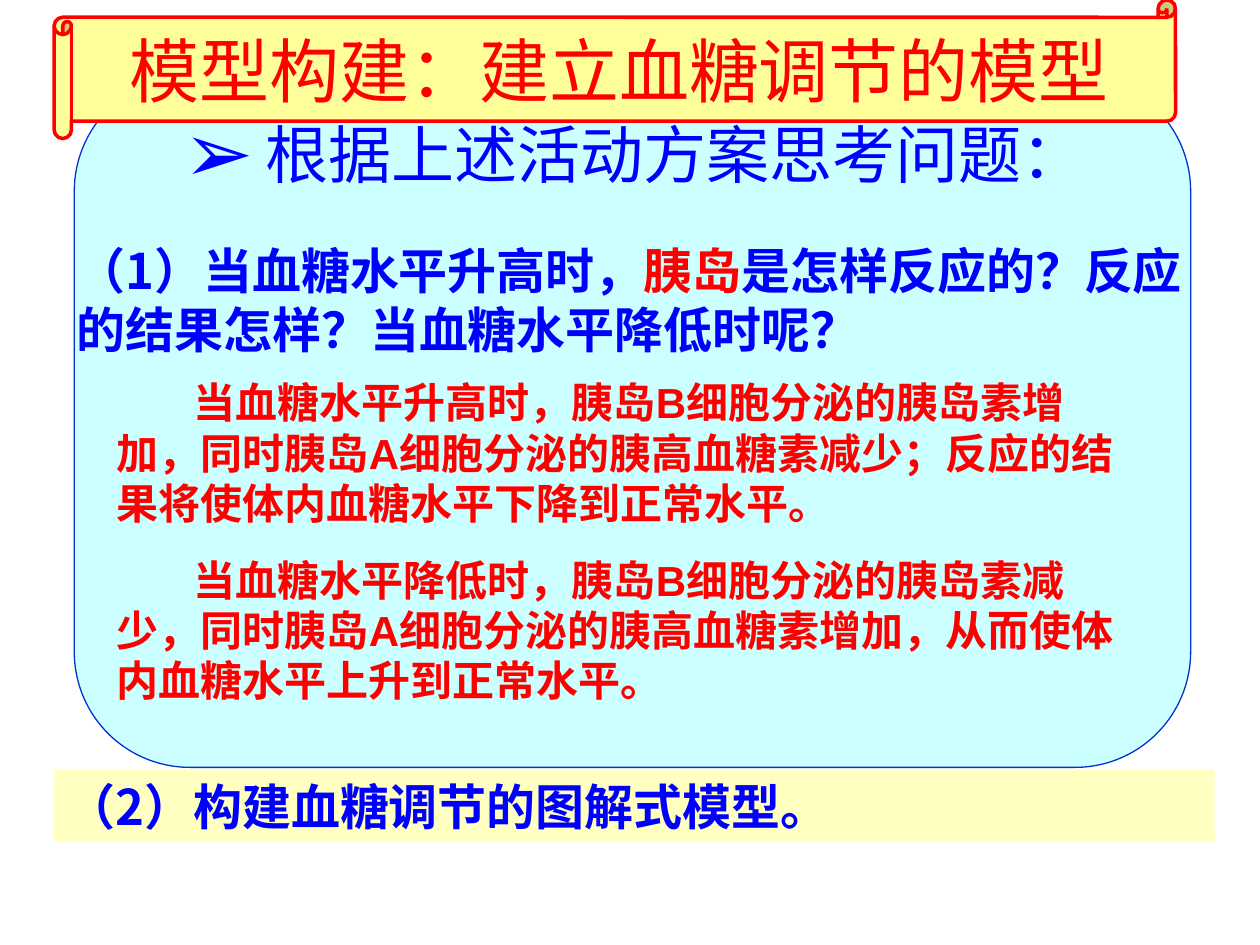
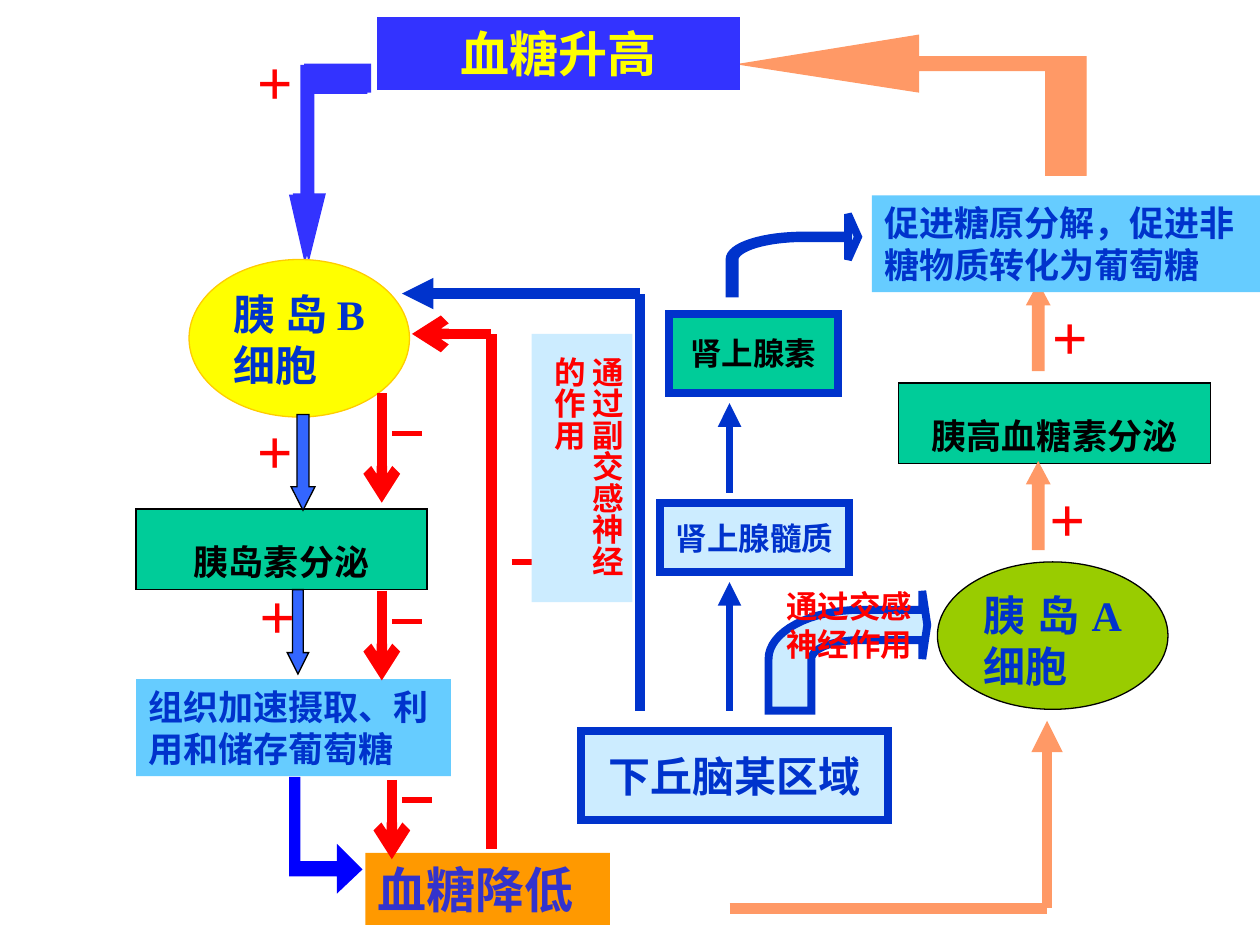
"""Build two slides on modelling the regulation of blood sugar."""
from dataclasses import dataclass
from math import cos, pi, sin
from typing import Optional

from lxml import etree
from pptx import Presentation
from pptx.dml.color import RGBColor
from pptx.enum.shapes import MSO_CONNECTOR, MSO_SHAPE
from pptx.enum.text import MSO_ANCHOR, PP_ALIGN
from pptx.oxml.ns import qn
from pptx.util import Inches, Pt

RECT, ELLIPSE = MSO_SHAPE.RECTANGLE, MSO_SHAPE.OVAL
ROUNDED, SCROLL = MSO_SHAPE.ROUNDED_RECTANGLE, MSO_SHAPE.HORIZONTAL_SCROLL
UP, DOWN = MSO_SHAPE.UP_ARROW, MSO_SHAPE.DOWN_ARROW
STRAIGHT = MSO_CONNECTOR.STRAIGHT
LEFT, CENTER, RIGHT, JUSTIFY = PP_ALIGN.LEFT, PP_ALIGN.CENTER, PP_ALIGN.RIGHT, PP_ALIGN.JUSTIFY
TOP, MIDDLE = MSO_ANCHOR.TOP, MSO_ANCHOR.MIDDLE

CJK, SERIF, SANS = "Noto Sans CJK SC", "Times New Roman", "Arial"
RED, BLUE, NAVY, BLACK = "FF0000", "0000FF", "0033CC", "000000"
INDIGO, YELLOW, ORANGE, PEACH = "3333FF", "FFFF00", "FF9900", "FF9966"
TEAL, SKY, PALE = "00CC99", "66CCFF", "CCECFF"

Point = tuple[float, float]
Span = tuple[str, str]


@dataclass(frozen=True)
class Style:
    """Look of a text."""
    size: float = 20
    color: str = NAVY
    font: str = SERIF
    bold: bool = True
    align: PP_ALIGN = LEFT
    anchor: MSO_ANCHOR = TOP
    wrap: bool = True
    spacing: float = 1.0
    before: float = 0
    indent: float = 0
    margin: float = 0
    bullet: str = ""
    vertical: bool = False


@dataclass(frozen=True)
class Box:
    """Preset shape, or a text box when it has no kind."""
    at: tuple[float, float, float, float]
    kind: Optional[MSO_SHAPE] = RECT
    text: tuple[tuple[Span, ...] | str, ...] = ()
    style: Style = Style()
    fill: str = ""
    line: str = ""
    weight: float = 0.75
    adjust: tuple[float, ...] = ()


@dataclass(frozen=True)
class Link:
    """Chain of straight lines, the last one with an arrowhead if named."""
    points: tuple[Point, ...]
    color: str = RED
    weight: float = 6
    head: str = ""


@dataclass(frozen=True)
class CurvedArrow:
    """Arrow that rises from a base and bends to the right."""
    bend: Point
    outer: Point
    inner: Point
    base: float
    neck: float
    tip: Point
    half_head: float

    def outline(self) -> list[Point]:
        """Return the corners of the arrow, the bends taken in small steps."""
        (x, y), (_, tip_y) = self.bend, self.tip
        return [
            self.tip, (self.neck, tip_y - self.half_head),
            (self.neck, y - self.outer[1]), *quarter(self.bend, self.outer),
            (x - self.outer[0], self.base), (x - self.inner[0], self.base),
            *reversed(quarter(self.bend, self.inner)),
            (self.neck, y - self.inner[1]), (self.neck, tip_y + self.half_head),
        ]


def quarter(center: Point, radius: Point, steps: int = 16) -> list[Point]:
    """Return points from the top of an ellipse to its left side."""
    angles = [pi / 2 * step / steps for step in range(steps + 1)]
    return [(center[0] - radius[0] * sin(a), center[1] - radius[1] * cos(a)) for a in angles]


def rgb(value: str) -> RGBColor:
    """Turn a hex string into a colour."""
    return RGBColor.from_string(value)


def paint(shape, fill: str, line: str, weight: float) -> None:
    """Set fill and sharp-cornered outline; an empty colour means none."""
    shape.shadow.inherit = False
    if fill:
        shape.fill.solid()
        shape.fill.fore_color.rgb = rgb(fill)
    else:
        shape.fill.background()
    if line:
        shape.line.color.rgb = rgb(line)
        shape.line.width = Pt(weight)
        etree.SubElement(shape.line._get_or_add_ln(), qn("a:miter")).set("lim", "800000")
    else:
        shape.line.fill.background()


def set_layout(paragraph, style: Style) -> None:
    """Give a paragraph its indents and, if any, its bullet."""
    props = paragraph._p.get_or_add_pPr()
    props.set("marL", str(Inches(style.margin)))
    props.set("indent", str(Inches(style.indent)))
    props.set("hangingPunct", "0")
    if style.bullet:
        color = etree.SubElement(props, qn("a:buClr"))
        etree.SubElement(color, qn("a:srgbClr")).set("val", style.color)
        etree.SubElement(props, qn("a:buSzPct")).set("val", "133000")
        etree.SubElement(props, qn("a:buFont")).set("typeface", SANS)
        etree.SubElement(props, qn("a:buChar")).set("char", style.bullet)


def write(shape, paragraphs: tuple, style: Style) -> None:
    """Write paragraphs, each a string or a row of coloured spans."""
    frame = shape.text_frame
    frame.word_wrap = style.wrap
    frame.vertical_anchor = style.anchor
    if style.vertical:
        shape.element.txBody.bodyPr.set("vert", "eaVert")
        frame.margin_left = frame.margin_right = Inches(0.05)
        frame.margin_top, frame.margin_bottom = Inches(0.18), Inches(0.1)
    for index, content in enumerate(paragraphs):
        paragraph = frame.add_paragraph() if index else frame.paragraphs[0]
        paragraph.alignment = style.align
        paragraph.line_spacing = style.spacing
        paragraph.space_before = Pt(style.before if index else 0)
        set_layout(paragraph, style)
        spans = ((content, style.color),) if isinstance(content, str) else content
        for words, color in spans:
            run = paragraph.add_run()
            run.text = words
            run.font.size = Pt(style.size)
            run.font.bold = style.bold
            run.font.color.rgb = rgb(color)
            run.font.name = style.font
            etree.SubElement(run.font._element, qn("a:ea")).set("typeface", CJK)


def draw_box(slide, box: Box) -> None:
    """Draw a shape or text box with its text."""
    place = [Inches(value) for value in box.at]
    if box.kind is None:
        shape = slide.shapes.add_textbox(*place)
    else:
        shape = slide.shapes.add_shape(box.kind, *place)
        paint(shape, box.fill, box.line, box.weight)
    for index, value in enumerate(box.adjust):
        shape.adjustments[index] = value
    if box.text:
        write(shape, box.text, box.style)


def draw_outline(slide, points: list[Point], fill: str, line: str, weight: float = 0.75):
    """Draw a closed outline through the points."""
    corners = [(Inches(x), Inches(y)) for x, y in points]
    builder = slide.shapes.build_freeform(*corners[0])
    builder.add_line_segments(corners[1:], close=True)
    shape = builder.convert_to_shape()
    paint(shape, fill, line, weight)
    return shape


def draw_link(slide, link: Link) -> None:
    """Draw the lines of a link."""
    for start, end in zip(link.points, link.points[1:]):
        ends = [Inches(value) for value in (*start, *end)]
        connector = slide.shapes.add_connector(STRAIGHT, *ends)
        connector.line.color.rgb = rgb(link.color)
        connector.line.width = Pt(link.weight)
        if link.head and end == link.points[-1]:
            outline = connector.line._get_or_add_ln()
            etree.SubElement(outline, qn("a:tailEnd")).set("type", link.head)
        etree.SubElement(connector.element.spPr, qn("a:effectLst"))


QUESTION = Style(28, BLUE, CJK)
QUESTION_BOXES = (
    Box((0.59, 0.6, 8.86, 5.49), ROUNDED, ("根据上述活动方案思考问题：",),
        Style(36, BLUE, CJK, False, margin=1.15, indent=-0.65, bullet="➢"),
        "CCFFFF", NAVY, adjust=(0.167,)),
    Box((0.43, 0, 8.9, 1.1), SCROLL, ("模型构建：建立血糖调节的模型",),
        Style(40, RED, bold=False, align=CENTER, anchor=MIDDLE, wrap=False),
        "FFFF99", RED, 2, (0.125,)),
    Box((0.43, 6.11, 9.21, 0.57), RECT, ("（2）构建血糖调节的图解式模型。",), QUESTION, "FFFFC1"),
    Box((0.51, 1.86, 9.14, 1.04), None, ((
        ("（1）当血糖水平升高时，", BLUE), ("胰岛", RED),
        ("是怎样反应的？反应的结果怎样？当血糖水平降低时呢？", BLUE)),), QUESTION),
    Box((0.83, 2.94, 8.35, 2.72), None, (
        "当血糖水平升高时，胰岛B细胞分泌的胰岛素增加，同时胰岛A细胞分泌的胰高血糖素减少；"
        "反应的结果将使体内血糖水平下降到正常水平。",
        "当血糖水平降低时，胰岛B细胞分泌的胰岛素减少，同时胰岛A细胞分泌的胰高血糖素增加，"
        "从而使体内血糖水平上升到正常水平。"), Style(24, RED, SANS, before=15, indent=0.61)),
)

SECRETION = Style(20, BLACK, align=CENTER, spacing=1.6)
CELL = Style(24, align=JUSTIFY)
REGION = Style(24, NAVY, SANS, align=CENTER, anchor=MIDDLE, wrap=False)
GLAND = Style(18, NAVY, SANS, align=CENTER, anchor=MIDDLE, wrap=False)
HORMONE = Style(18, BLACK, SANS, align=CENTER, anchor=MIDDLE, wrap=False)
NERVE = Style(18, RED, SANS, align=RIGHT, anchor=MIDDLE)
VERTICAL_NERVE = Style(18, RED, SANS, vertical=True)

MODEL_NODES = (
    Box((2.9, 6.77, 1.94, 0.57), RECT, ("血糖降低",), Style(28, "3333CC"), ORANGE),
    Box((3, 0.14, 2.87, 0.57), RECT, ("血糖升高",), Style(28, YELLOW, align=CENTER), INDIGO, INDIGO),
    Box((1.08, 4.04, 2.31, 0.64), RECT, ("胰岛素分泌",), SECRETION, TEAL, BLACK),
    Box((7.13, 3.04, 2.48, 0.64), RECT, ("胰高血糖素分泌",), SECRETION, TEAL, BLACK),
    Box((1.5, 2.06, 1.75, 1.25), ELLIPSE, ("胰岛B细胞",), CELL, YELLOW, "FFCC00"),
    Box((7.44, 4.46, 1.83, 1.17), ELLIPSE, ("胰岛A细胞",), CELL, "99CC00", BLACK),
    Box((1.08, 5.39, 2.5, 0.77), RECT, ("组织加速摄取、利用和储存葡萄糖",), Style(), SKY),
    Box((4.61, 5.8, 2.44, 0.71), RECT, ("下丘脑某区域",), REGION, PALE, NAVY, 4.5),
    Box((5.24, 3.99, 1.5, 0.55), RECT, ("肾上腺髓质",), GLAND, PALE, NAVY, 4.5),
    Box((5.31, 2.49, 1.34, 0.63), RECT, ("肾上腺素",), HORMONE, TEAL, NAVY, 4.5),
)
BLOCK_ARROWS = (
    Box((2.31, 3.29, 0.19, 0.76), DOWN, fill="3366FF", line=BLACK, adjust=(0.5, 0.98)),
    Box((2.28, 4.68, 0.17, 0.67), DOWN, fill="3366FF", line=BLACK, adjust=(0.5, 1)),
    Box((8.15, 3.67, 0.18, 0.69), UP, fill=PEACH, line=PEACH, adjust=(0.5, 0.94)),
    Box((8.15, 2.25, 0.18, 0.69), UP, fill=PEACH, line=PEACH, adjust=(0.5, 0.94)),
)
GLUCOSE_RELEASE = Box((6.92, 1.55, 3.08, 0.77), RECT,
                      ("促进糖原分解，促进非糖物质转化为葡萄糖",), Style(), SKY)
PARASYMPATHETIC = Box((4.22, 2.65, 0.8, 2.13), RECT,
                      ("通过副交感神经的作用",), VERTICAL_NERVE, PALE)
PLUS_SIGNS = ((1.94, 0.29), (1.94, 3.22), (1.96, 4.53), (8.23, 3.76), (8.25, 2.31))
MINUS_SIGNS = ((4.06, 4.46), (3.19, 6.35), (3.11, 4.93), (3.11, 3.44))
LINKS = (
    Link(((3.9, 6.74), (3.9, 2.65), (3.27, 2.65)), head="arrow"),
    Link(((3.11, 6.19), (3.11, 6.82)), head="arrow"),
    Link(((3.03, 4.69), (3.03, 5.4)), head="arrow"),
    Link(((3.03, 3.12), (3.03, 3.99)), head="arrow"),
    Link(((5.79, 7.21), (8.31, 7.21), (8.31, 5.72)), PEACH, head="triangle"),
    Link(((5.08, 5.64), (5.08, 2.33), (3.19, 2.33)), NAVY, head="triangle"),
    Link(((5.79, 5.64), (5.79, 4.62)), NAVY, 4.5, "triangle"),
    Link(((5.79, 3.91), (5.79, 3.2)), NAVY, 4.5, "triangle"),
)
TO_LOW_SUGAR = [(2.87, 6.9), (2.68, 6.71), (2.68, 6.84), (2.38, 6.84), (2.38, 6.17),
                (2.3, 6.17), (2.3, 6.95), (2.68, 6.95), (2.68, 7.08)]
TO_BETA_CELL = [(2.45, 2.06), (2.58, 1.54), (2.49, 1.54), (2.49, 0.73), (2.94, 0.73),
                (2.94, 0.51), (2.42, 0.51), (2.42, 1.54), (2.33, 1.54)]
TO_HIGH_SUGAR = [(5.87, 0.51), (7.29, 0.73), (7.29, 0.56), (8.3, 0.56), (8.3, 1.39),
                 (8.62, 1.39), (8.62, 0.45), (7.29, 0.45), (7.29, 0.28)]
SYMPATHETIC = CurvedArrow((6.83, 5.23), (0.73, 0.39), (0.39, 0.15), 5.64, 7.32, (7.36, 4.96), 0.27)
ADRENALINE = CurvedArrow((6.38, 2.06), (0.59, 0.19), (0.55, 0.17), 2.33, 6.73, (6.81, 1.88), 0.18)


def build_questions(slide) -> None:
    """Draw the questions and their answers."""
    for box in QUESTION_BOXES:
        draw_box(slide, box)


def build_model(slide) -> None:
    """Draw the regulation diagram."""
    draw_outline(slide, TO_LOW_SUGAR, BLUE, BLUE)
    for dx, dy in ((0, 0), (-0.03, 0.01)):
        draw_outline(slide, [(x + dx, y + dy) for x, y in TO_BETA_CELL], INDIGO, INDIGO)
    draw_outline(slide, TO_HIGH_SUGAR, PEACH, PEACH)
    for box in (*MODEL_NODES, *BLOCK_ARROWS, GLUCOSE_RELEASE):
        draw_box(slide, box)
    for left, top in PLUS_SIGNS:
        draw_box(slide, Box((left, top, 0.54, 0.7), None, ("+",), Style(36, RED)))
    for left, y in MINUS_SIGNS:
        draw_link(slide, Link(((left, y), (left + 0.24, y)), weight=3))
    for link in LINKS:
        draw_link(slide, link)
    draw_box(slide, PARASYMPATHETIC)
    nerve = draw_outline(slide, SYMPATHETIC.outline(), PALE, NAVY, 4.5)
    write(nerve, ("通过交感", "神经作用"), NERVE)
    nerve.text_frame.margin_right = Inches(0.12)
    nerve.text_frame.margin_bottom = Inches(0.46)
    draw_outline(slide, ADRENALINE.outline(), PALE, NAVY, 4.5)


def main() -> None:
    """Build and save the presentation."""
    deck = Presentation()
    deck.slide_width, deck.slide_height = Inches(10), Inches(7.5)
    for build in (build_questions, build_model):
        build(deck.slides.add_slide(deck.slide_layouts[6]))
    deck.save("out.pptx")


if __name__ == "__main__":
    main()
